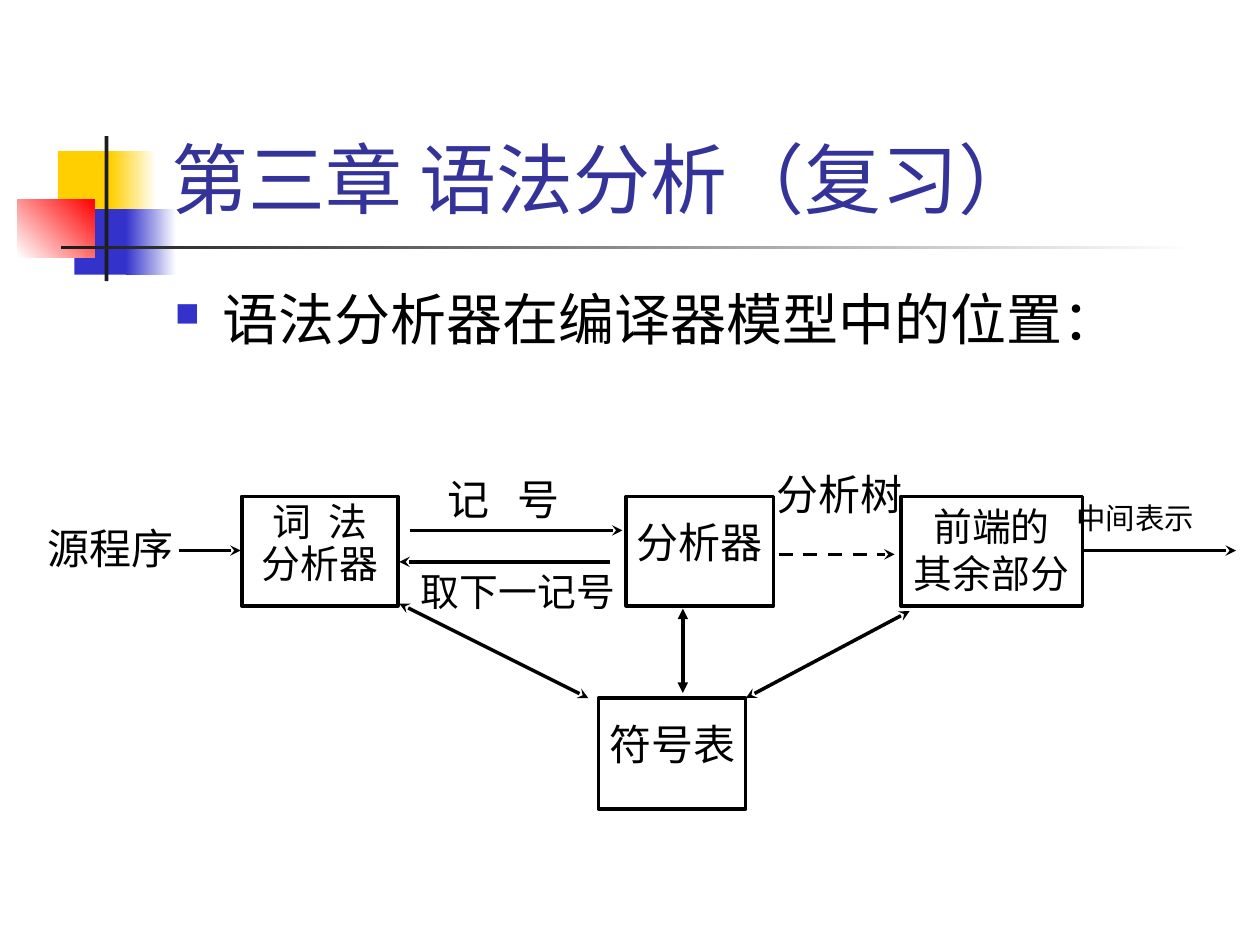
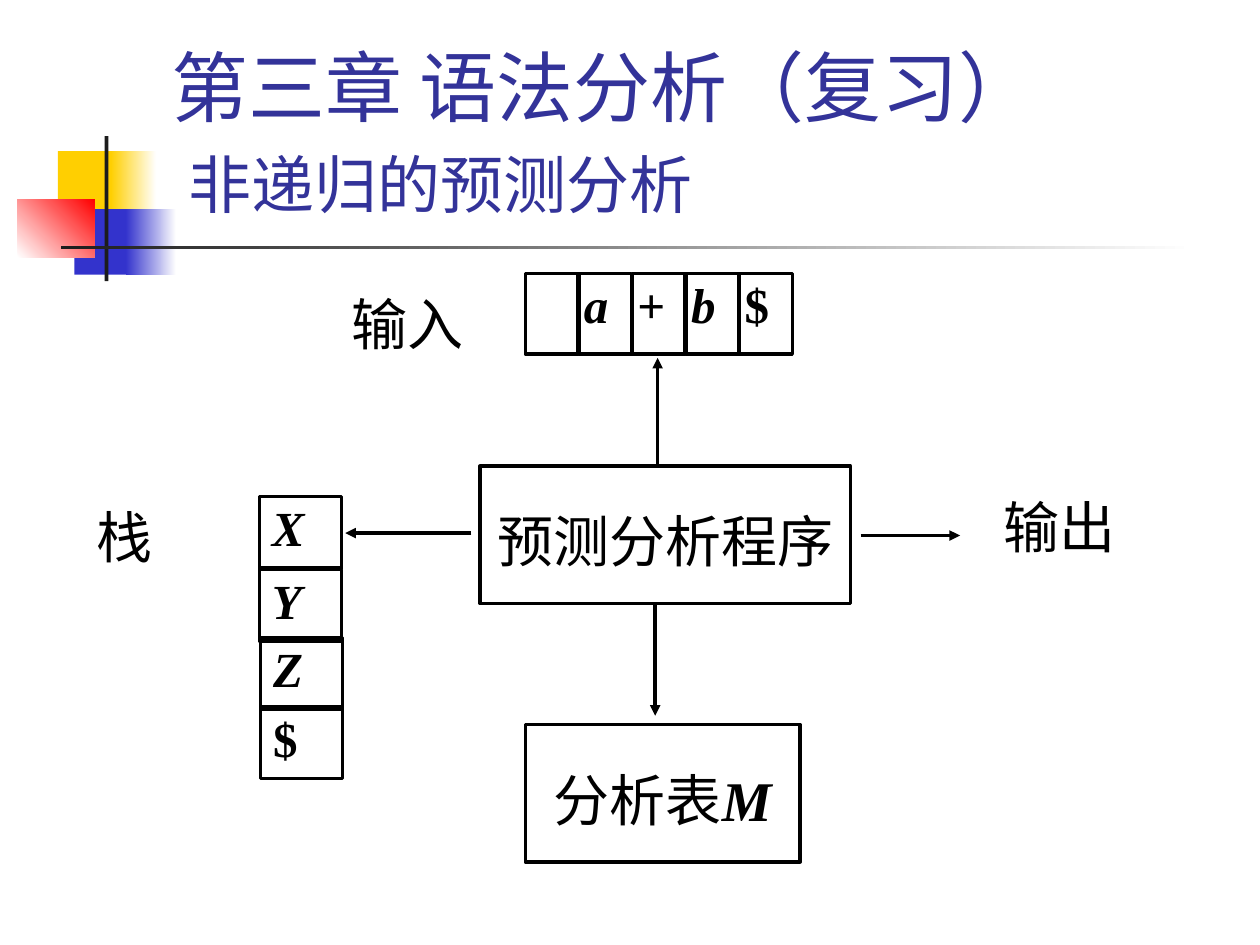
from lxml.etree import SubElement
from pptx import Presentation
from pptx.dml.color import RGBColor
from pptx.enum.dml import MSO_LINE
from pptx.enum.shapes import MSO_CONNECTOR, MSO_SHAPE
from pptx.enum.text import MSO_ANCHOR, PP_ALIGN
from pptx.oxml.ns import qn
from pptx.util import Pt

# Shared colours, fonts and wording
BLACK = RGBColor(0x00, 0x00, 0x00)
WHITE = RGBColor(0xFF, 0xFF, 0xFF)
CHARCOAL = RGBColor(0x1C, 0x1C, 0x1C)
YELLOW = RGBColor(0xFF, 0xCF, 0x01)
BLUE = RGBColor(0x33, 0x33, 0xCC)
RED = RGBColor(0xFF, 0x00, 0x00)
TITLE_BLUE = RGBColor(0x33, 0x33, 0x99)

SERIF = "Times New Roman"
SANS = "Noto Sans CJK SC"
TITLE_FONT = "Cabin"
CHAPTER = "第三章 语法分析（复习）"

# Text insets: left, top, right, bottom
ROOMY = (7.2, 3.6, 7.2, 3.6)
RAISED = (7.2, 0.7, 7.2, 3.6)
PROGRAM = (7.2, 7.9, 7.2, 3.6)
TIGHT = (1.4, 3.6, 1.4, 3.6)
LOWERED = (1.4, 11.5, 1.4, 3.6)
CELL = (2.9, 0.7, 1.4, 0.7)


def points(*lengths):
    return [Pt(length) for length in lengths]


def style_paragraph(paragraph, size, name=SERIF, color=BLACK, bold=None, italic=None):
    font = paragraph.font
    font.size, font.name = Pt(size), name
    font.bold, font.italic = bold, italic
    font.color.rgb = color
    # East Asian face, next to the Latin one
    latin = paragraph._p.pPr.find(qn("a:defRPr")).find(qn("a:latin"))
    east_asian = latin.makeelement(qn("a:ea"), {"typeface": SANS})
    latin.addnext(east_asian)


def write(shape, text, size, insets=ROOMY, align=PP_ALIGN.CENTER,
          line_spacing=None, **style):
    frame = shape.text_frame
    frame.word_wrap = True
    frame.vertical_anchor = MSO_ANCHOR.TOP
    (frame.margin_left, frame.margin_top,
     frame.margin_right, frame.margin_bottom) = points(*insets)
    frame.text = text
    for paragraph in frame.paragraphs:
        paragraph.alignment = align
        if line_spacing:
            paragraph.line_spacing = line_spacing
        style_paragraph(paragraph, size, **style)
    return frame.paragraphs[0]


def spread(paragraph, gap):
    """Widen the letter spacing of the paragraph by gap points."""
    for run in paragraph.runs:
        run._r.get_or_add_rPr().set("spc", str(round(gap * 100)))


def add_label(slide, place, text, size, **style):
    return write(slide.shapes.add_textbox(*points(*place)), text, size, **style)


def add_box(slide, place, text="", size=24, **style):
    box = slide.shapes.add_shape(MSO_SHAPE.RECTANGLE, *points(*place))
    box.shadow.inherit = False
    box.fill.background()
    box.line.color.rgb = BLACK
    box.line.width = Pt(2)
    return write(box, text, size, **style) if text else None


def add_arrow(slide, start, end, head=None, tail="triangle", dashed=False):
    arrow = slide.shapes.add_connector(MSO_CONNECTOR.STRAIGHT, *points(*start, *end))
    arrow.line.color.rgb = BLACK
    arrow.line.width = Pt(2)
    if dashed:
        arrow.line.dash_style = MSO_LINE.DASH
    properties = arrow._element.spPr
    outline = properties.find(qn("a:ln"))
    for tag, kind in (("a:headEnd", head), ("a:tailEnd", tail)):
        if kind:
            SubElement(outline, qn(tag), type=kind)
    SubElement(properties, qn("a:effectLst"))


def add_band(slide, place, start, end=None, angle=0):
    band = slide.shapes.add_shape(MSO_SHAPE.RECTANGLE, *points(*place))
    band.shadow.inherit = False
    band.line.fill.background()
    if end is None:
        band.fill.solid()
        band.fill.fore_color.rgb = start
        return
    band.fill.gradient()
    band.fill.gradient_angle = angle
    for stop, color in zip(band.fill.gradient_stops, (start, end)):
        stop.color.rgb = color


def add_ornament(slide):
    add_band(slide, (33.1, 86.4, 34.6, 37.4), YELLOW)
    add_band(slide, (63.4, 86.4, 25.9, 37.4), YELLOW, WHITE)
    add_band(slide, (42.5, 119.5, 33.1, 37.4), BLUE)
    add_band(slide, (72, 119.5, 28.8, 37.4), BLUE, WHITE)
    add_band(slide, (10.1, 113.8, 43.9, 33.1), WHITE, RED, angle=45)
    add_band(slide, (59.8, 77.8, 2.2, 82.8), CHARCOAL)
    add_band(slide, (34.6, 140.4, 648, 2.2), CHARCOAL, WHITE)


def add_chapter_slide(deck, subtitle=None):
    slide = deck.slides.add_slide(deck.slide_layouts[5])
    add_ornament(slide)
    title = slide.shapes.title
    title.left, title.top, title.width, title.height = points(90.7, 16.6, 613.4, 115.2)
    frame = title.text_frame
    frame.word_wrap = True
    frame.vertical_anchor = MSO_ANCHOR.BOTTOM
    heading = frame.paragraphs[0]
    heading.text = f"{CHAPTER}\v " if subtitle else CHAPTER
    heading.alignment = PP_ALIGN.LEFT
    style_paragraph(heading, 44, TITLE_FONT, TITLE_BLUE)
    if subtitle:
        second_line = heading.add_run()
        second_line.text = subtitle
        second_line.font.size = Pt(36)
    return slide


def add_bullet(slide, place, text):
    box = slide.shapes.add_textbox(*points(*place))
    box.text_frame.word_wrap = True
    paragraph = box.text_frame.paragraphs[0]
    paragraph.text = text
    properties = paragraph._p.get_or_add_pPr()
    properties.set("marL", str(Pt(27)))
    properties.set("indent", str(-Pt(27)))
    bullet_color = SubElement(properties, qn("a:buClr"))
    SubElement(bullet_color, qn("a:srgbClr"), val=str(BLUE))
    SubElement(properties, qn("a:buSzPct"), val="60000")
    SubElement(properties, qn("a:buChar"), char="■")
    style_paragraph(paragraph, 32)


def build_compiler_model(deck):
    slide = add_chapter_slide(deck)
    add_bullet(slide, (92.9, 159.1, 612, 324), "语法分析器在编译器模型中的位置：")

    # Compiler stages and the symbol table
    stage_top, stage_height = 283.7, 62.6
    lexer = add_box(slide, (138.2, stage_top, 89.3, stage_height), "词 法\n分析器", 22.2,
                    insets=TIGHT, line_spacing=0.9, name=SANS)
    spread(lexer, 2.5)
    add_box(slide, (357.8, stage_top, 84.2, stage_height), "分析器", insets=LOWERED)
    add_box(slide, (514.8, stage_top, 103.7, stage_height), "前端的\n其余部分", 22.2,
            insets=TIGHT)
    add_box(slide, (342, 398.9, 84.2, 63.4), "符号表", insets=LOWERED)

    # What passes between the stages
    token = add_label(slide, (228.2, 267.1, 119.5, 38.9), "记 号", 24, name=SANS)
    spread(token, 5.4)
    add_label(slide, (213.8, 321.1, 164.2, 36), "取下一记号", 22.2)
    add_label(slide, (18, 295.2, 90, 38.9), "源程序", 24)
    add_label(slide, (426.2, 267.1, 106.6, 33.8), "分析树", 24, insets=RAISED)
    add_label(slide, (606.2, 285.1, 85, 33.8), "中间表示", 16.8, insets=RAISED)

    # Data flow
    for start, end in (
        ((102.2, 314.6), (137.5, 314.6)),
        ((234, 303.1), (355.7, 303.1)),
        ((348.5, 321.1), (228.2, 321.1)),
        ((617.8, 314.6), (706.3, 314.6)),
    ):
        add_arrow(slide, start, end, tail="stealth")
    add_arrow(slide, (445, 316.8), (511.2, 316.8), tail="stealth", dashed=True)

    # Access to the symbol table
    for start, end, point in (
        ((228.2, 344.9), (336.2, 398.9), "stealth"),
        ((519.8, 349.2), (426.2, 398.9), "stealth"),
        ((390.2, 347.8), (390.2, 396), "triangle"),
    ):
        add_arrow(slide, start, end, head=point, tail=point)


def build_predictive_parser(deck):
    slide = add_chapter_slide(deck, "非递归的预测分析")

    # Input buffer
    for column, symbol in enumerate(("", "a", "+", "b", "$")):
        add_box(slide, (300.2 + 30.6 * column, 156.2, 30.2, 46.1), symbol, 28, insets=CELL,
                align=PP_ALIGN.JUSTIFY, bold=True, italic=symbol.isalpha())

    # Stack
    for left, top, symbol in ((148.3, 283.7, "X"), (148.3, 325.4, "Y"),
                              (149, 364.3, "Z"), (149, 403.9, "$")):
        add_box(slide, (left, top, 46.8, 41), symbol, 28, insets=RAISED,
                align=PP_ALIGN.JUSTIFY, bold=True, italic=symbol.isalpha())

    # Program and parsing table
    add_box(slide, (274.3, 266.4, 211.7, 78.5), "预测分析程序", 32,
            insets=PROGRAM, line_spacing=1.4)
    table_label = add_box(slide, (300.2, 414, 157, 78.5), "分析表", 32,
                          insets=PROGRAM, line_spacing=1.4)
    table_name = table_label.add_run()
    table_name.text = "M"
    table_name.font.bold = table_name.font.italic = True

    # Captions
    for place, caption in (((193.7, 162, 82.1, 51.1), "输入"),
                           ((566.6, 277.9, 81.4, 51.8), "输出"),
                           ((48.2, 283.7, 75.6, 51.8), "栈")):
        add_label(slide, place, caption, 32, align=PP_ALIGN.JUSTIFY)

    # Arrows out of the program
    for start, end in (
        ((375.8, 265), (375.8, 204.5)),
        ((374.4, 344.9), (374.4, 409)),
        ((491.8, 306), (548.6, 306)),
        ((269.3, 304.6), (197.3, 304.6)),
    ):
        add_arrow(slide, start, end)


def main():
    deck = Presentation()
    deck.slide_width, deck.slide_height = points(720, 540)
    build_compiler_model(deck)
    build_predictive_parser(deck)
    deck.save("out.pptx")


if __name__ == "__main__":
    main()
